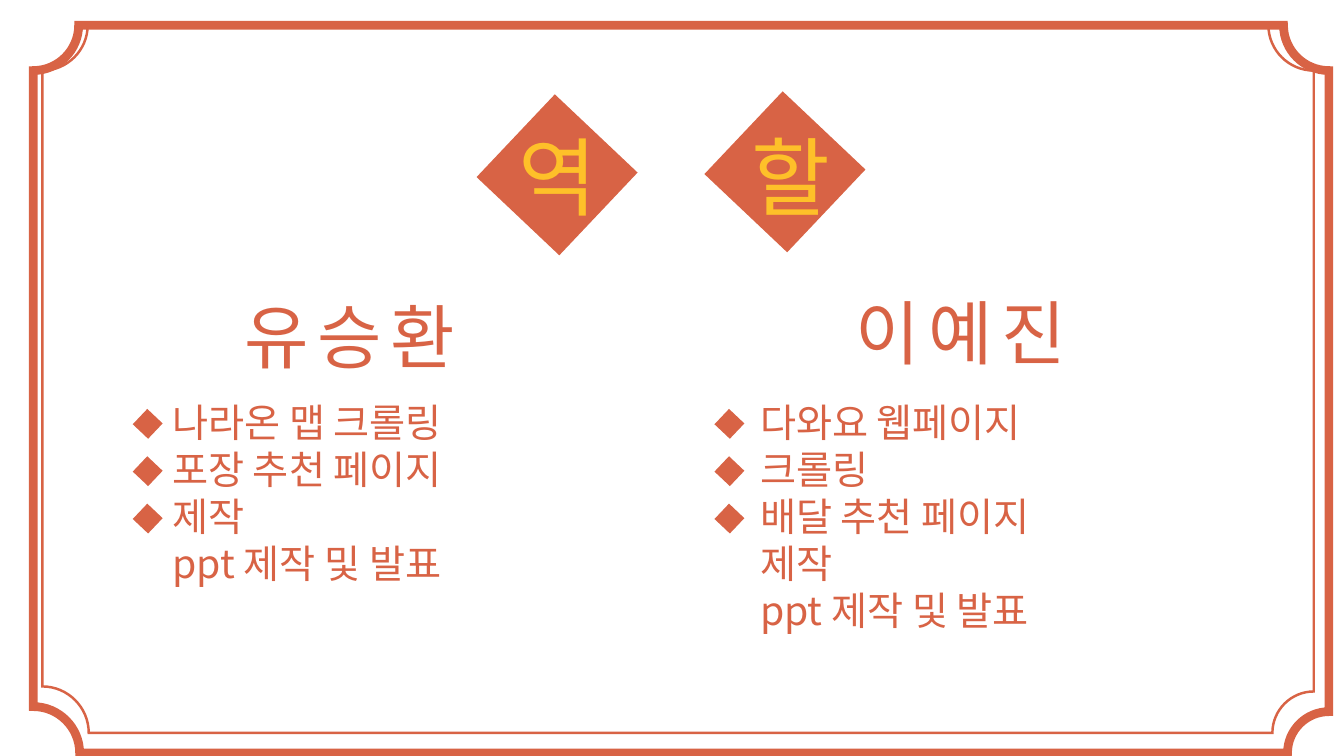
from lxml import etree
from pptx import Presentation
from pptx.dml.color import RGBColor
from pptx.enum.shapes import MSO_SHAPE
from pptx.enum.text import MSO_ANCHOR, MSO_AUTO_SIZE, PP_ALIGN
from pptx.oxml.ns import qn
from pptx.util import Inches, Pt

RECT = MSO_SHAPE.RECTANGLE
TOP, MIDDLE = MSO_ANCHOR.TOP, MSO_ANCHOR.MIDDLE
LEFT, CENTER = PP_ALIGN.LEFT, PP_ALIGN.CENTER
FIXED = MSO_AUTO_SIZE.NONE
FONT = "Noto Sans CJK KR"
COLORS = {"coral": "D86345", "gold": "FEC029"}
TILT = 43.4
BEND = 0.55


def color(name):
    return RGBColor.from_string(COLORS[name])


def place(shape, box):
    shape.left, shape.top, shape.width, shape.height = map(Inches, box)


def write(shape, box, lines, size, tint="coral", align=LEFT, anchor=TOP, gap=0):
    place(shape, box)
    frame = shape.text_frame
    frame.word_wrap = True
    frame.auto_size = FIXED
    frame.vertical_anchor = anchor
    frame.text = "\n".join(lines)
    for para in frame.paragraphs:
        para.alignment = align
        para.line_spacing = Pt(size * 1.2)
        para.space_before = Pt(0)
        for run in para.runs:
            font = run.font
            font.name = FONT
            font.size = Pt(size)
            font.color.rgb = color(tint)
            props = run._r.get_or_add_rPr()
            props.set("spc", str(gap * 100))
            east = props.makeelement(qn("a:ea"), {"typeface": FONT})
            props.find(qn("a:latin")).addnext(east)


def text_box(slide):
    return slide.shapes.add_textbox(0, 0, 0, 0)


def diamond(slide, left, top, side):
    shape = slide.shapes.add_shape(RECT, *map(Inches, (left, top, side, side)))
    shape.rotation = TILT
    shape.shadow.inherit = False
    shape.fill.solid()
    shape.fill.fore_color.rgb = color("coral")
    shape.line.fill.background()


def border(slide, box, weight):
    left, top, width, height = box
    right, bottom = left + width, top + height
    corners = [(right, top, -1, 0, 0.45), (right, bottom, 0, -1, 0.41),
               (left, bottom, 1, 0, 0.46), (left, top, 0, 1, 0.45)]
    points, curves = [], []
    for x, y, dx, dy, radius in corners:
        ex, ey = -dy, dx
        start = (x + radius * dx, y + radius * dy)
        end = (x - radius * ex, y - radius * ey)
        bend = radius * BEND
        points += [start, end]
        curves.append([(start[0] - bend * ex, start[1] - bend * ey),
                       (end[0] + bend * dx, end[1] + bend * dy), end])
    dots = [(Inches(x), Inches(y)) for x, y in points]
    pen = slide.shapes.build_freeform(*dots[0])
    pen.add_line_segments(dots[1:], close=True)
    shape = pen.convert_to_shape()
    sides = list(shape._element.iter(qn("a:lnTo")))
    for side, curve in zip(sides[::2], curves):
        arc = side.makeelement(qn("a:cubicBezTo"))
        for x, y in curve:
            etree.SubElement(arc, qn("a:pt"), x=str(Inches(x - left)),
                             y=str(Inches(y - top)))
        side.getparent().replace(side, arc)
    shape.shadow.inherit = False
    shape.fill.background()
    shape.line.color.rgb = color("coral")
    shape.line.width = Pt(weight)
    etree.SubElement(shape.line._get_or_add_ln(), qn("a:miter"), lim="800000")


def heading(slide):
    marks = [("역", slide.shapes.title, 4.96, 1.17, 5.04),
             ("할", None, 7.22, 1.14, 7.36)]
    for mark, shape, left, top, start in marks:
        diamond(slide, left, top, 1.13)
        shape = shape or text_box(slide)
        write(shape, (start, 1.18, 1.01, 1.13), [mark], 61, "gold", gap=6)
    tree = slide.shapes._spTree
    title = slide.shapes.title._element
    tree.remove(title)
    tree.append(title)


def member(slide, box, indent, name, label, tasks):
    left, top, width, height = box
    write(text_box(slide), label, [name], 50,
          align=CENTER, anchor=MIDDLE, gap=6)
    for row in range(3):
        diamond(slide, left, top + 0.2 + 0.47 * row, 0.21)
    write(text_box(slide), (left + indent, top, width - indent, height), tasks, 28)


def main():
    deck = Presentation()
    deck.slide_width, deck.slide_height = Inches(13.33), Inches(7.5)
    slide = deck.slides.add_slide(deck.slide_layouts[5])
    border(slide, (0.33, 0.25, 12.85, 7.22), 6.25)
    border(slide, (0.42, 0.25, 12.61, 7.02), 1.75)
    heading(slide)
    member(slide, (1.36, 3.9, 3.78, 1.51), 0.25, "유승환", (1.99, 2.59, 2.96, 1.47),
           ["나라온 맵 크롤링", "포장 추천 페이지 제작", "ppt 제작 및 발표"])
    member(slide, (7.13, 3.9, 3.91, 1.51), 0.31, "이예진", (8, 2.56, 3.06, 1.45),
           ["다와요 웹페이지 크롤링", "배달 추천 페이지 제작", "ppt 제작 및 발표"])
    deck.save("out.pptx")


if __name__ == "__main__":
    main()
